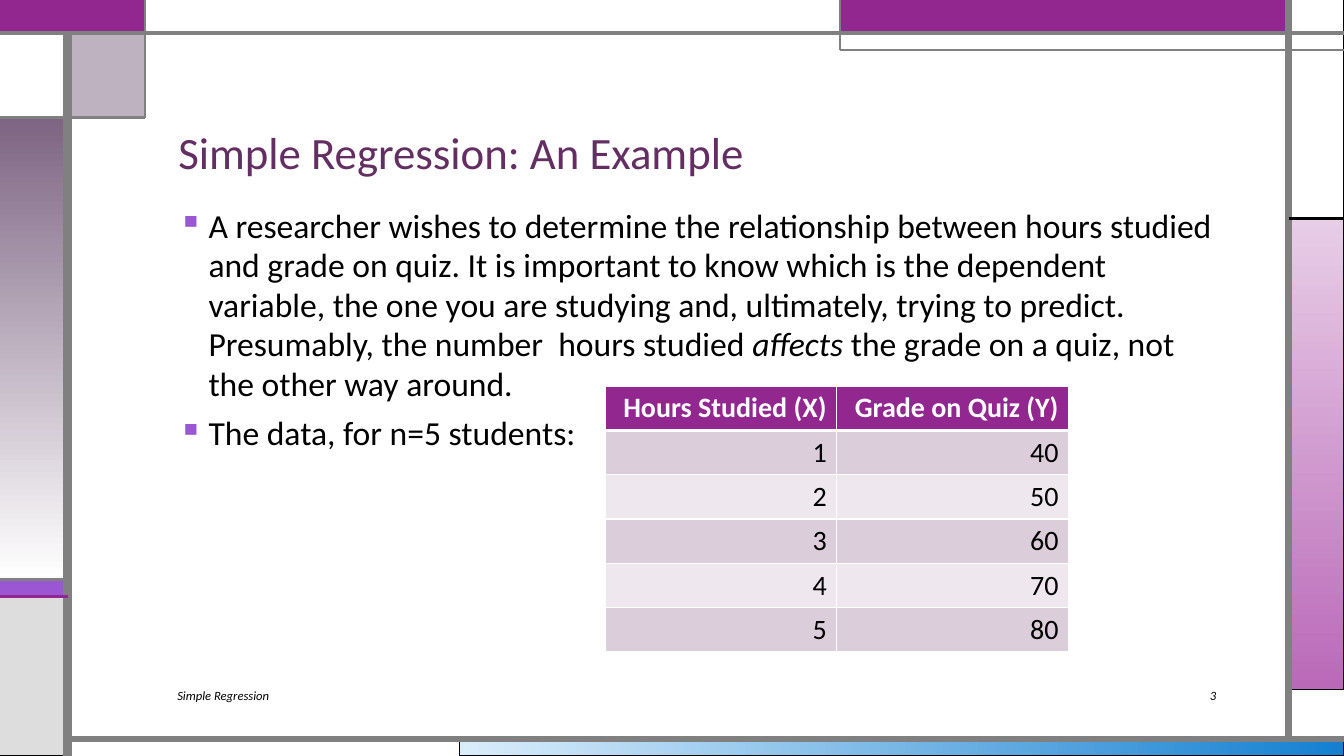
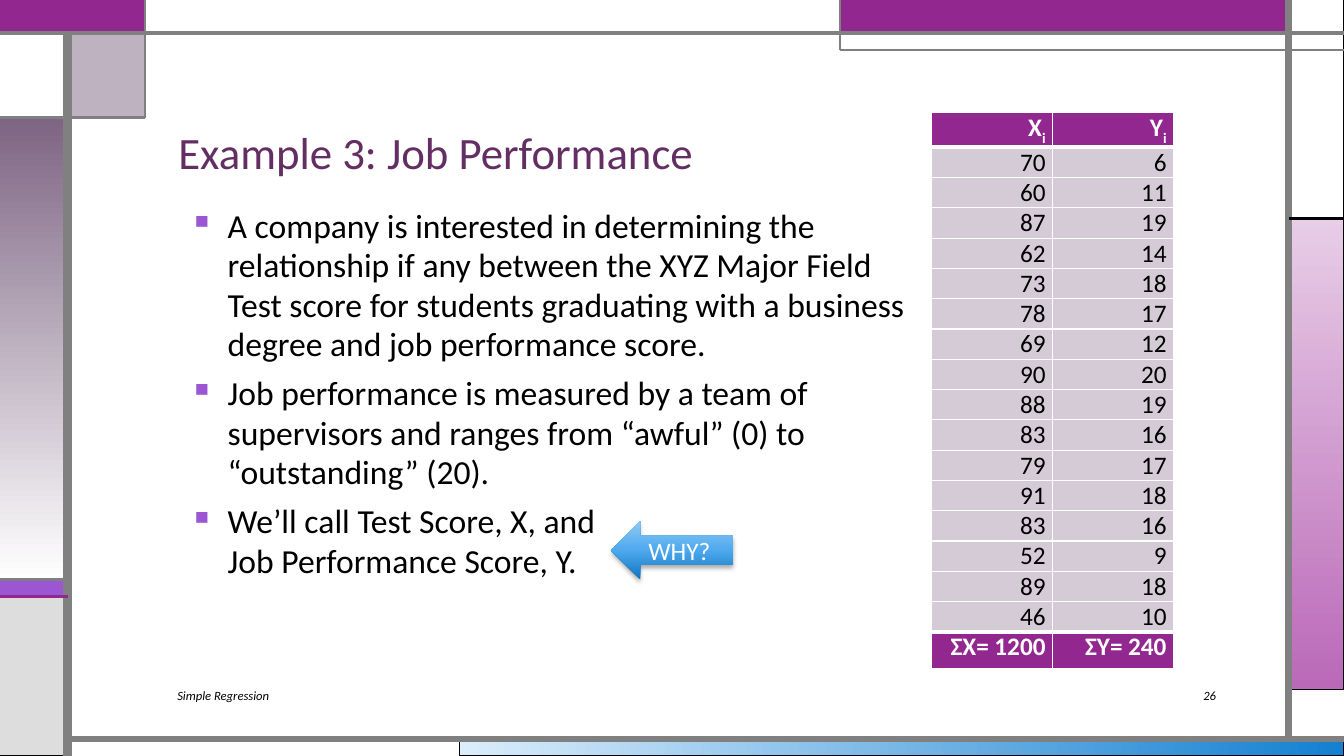
from dataclasses import dataclass

from lxml import etree
from pptx import Presentation
from pptx.dml.color import RGBColor
from pptx.enum.shapes import MSO_CONNECTOR, MSO_SHAPE
from pptx.enum.text import MSO_ANCHOR, PP_ALIGN
from pptx.oxml.ns import qn
from pptx.util import Inches, Pt

RECT, LEFT_ARROW = MSO_SHAPE.RECTANGLE, MSO_SHAPE.LEFT_ARROW
STRAIGHT = MSO_CONNECTOR.STRAIGHT
TOP, MIDDLE, BOTTOM = MSO_ANCHOR.TOP, MSO_ANCHOR.MIDDLE, MSO_ANCHOR.BOTTOM
LEFT, CENTER, RIGHT = PP_ALIGN.LEFT, PP_ALIGN.CENTER, PP_ALIGN.RIGHT
WIDTH, HEIGHT = 13.33, 7.5
RAIL_LEFT, RAIL_RIGHT, RAIL_TOP, RAIL_BOTTOM = 0.67, 12.78, 0.33, 7.33
CORNER_X, CORNER_Y = 1.44, 1.17
BANNER_X, BANNER_Y = 8.33, 0.5
PANEL_TOP, STRIPE_TOP, STRIPE_BOTTOM = 2.17, 5.75, 5.92
MARGIN = 1.67


@dataclass(frozen=True)
class Theme:
    """Colours, type sizes and font of the deck."""

    font: str = "Calibri"
    title_size: int = 32
    body_size: int = 24
    table_size: int = 20
    small_size: int = 18
    footer_size: int = 9
    black: str = "000000"
    white: str = "FFFFFF"
    title: str = "632E62"
    magenta: str = "92278F"
    violet: str = "9B57D3"
    indigo: str = "755DD9"
    mauve: str = "7E6583"
    gray: str = "808080"
    pale_gray: str = "DDDDDD"
    band_dark: str = "DCCDDB"
    band_light: str = "EEE8EE"
    score_row: str = "D5CBD7"
    sky: tuple = ((0, "DAEDFB"), (100, "1480D1"))
    orchid: tuple = ((0, "E8CDE7"), (100, "BA69B8"))
    fade: tuple = ((0, "7E6583"), (100, "FFFFFF"))
    arrow: tuple = ((0, "1273BB"), (48, "4BA8EE"), (100, "8FC9F4"))


def add_node(parent, tag, **attributes):
    """Append a drawing element to its parent."""
    node = etree.SubElement(parent, qn(tag))
    for name, value in attributes.items():
        node.set(name, str(value))
    return node


class Deck:
    """Holds the theme and the current slide and draws each kind of element."""

    def __init__(self, theme):
        """Start an empty widescreen presentation."""
        self.theme = theme
        self.presentation = Presentation()
        self.presentation.slide_width = Inches(WIDTH)
        self.presentation.slide_height = Inches(HEIGHT)
        self.slide = None

    def new_slide(self, title, number):
        """Add a slide with frame, title and footer."""
        layout = self.presentation.slide_layouts[6]
        self.slide = self.presentation.slides.add_slide(layout)
        self.frame()
        t = self.theme
        heading = self.text_box(MARGIN, 0.58, 10.5, 1.25, BOTTOM)
        self.set_text(heading.paragraphs[0], title, t.title_size, t.title)
        heading.paragraphs[0].line_spacing = 0.9
        for x, width, words, align in (
            (1.66, 7.51, "Simple Regression", LEFT),
            (11.08, 1.08, str(number), RIGHT),
        ):
            footer = self.text_box(x, 6.75, width, 0.3, MIDDLE)
            self.set_text(footer.paragraphs[0], words, t.footer_size, t.black,
                          align, italic=True)

    def frame(self):
        """Draw the coloured panels and rails around the slide."""
        t = self.theme
        right_width = WIDTH - RAIL_RIGHT
        corner_height = CORNER_Y - RAIL_TOP
        self.block(4.56, RAIL_BOTTOM, WIDTH - 4.56, HEIGHT - RAIL_BOTTOM, t.sky, t.black)
        self.block(RAIL_RIGHT, PANEL_TOP, right_width, 4.67, t.orchid, t.black, angle=90)
        self.block(0, STRIPE_TOP, RAIL_LEFT, STRIPE_BOTTOM - STRIPE_TOP, t.violet, t.black)
        self.block(0, STRIPE_BOTTOM, RAIL_LEFT, HEIGHT - STRIPE_BOTTOM, t.pale_gray, t.black)
        self.block(RAIL_RIGHT, 0, right_width, PANEL_TOP, t.white, t.black)
        self.block(BANNER_X, 0, RAIL_RIGHT - BANNER_X, RAIL_TOP, t.magenta, t.indigo)
        corner = self.block(RAIL_LEFT, RAIL_TOP, CORNER_X - RAIL_LEFT, corner_height,
                            t.mauve, t.black)
        tint = corner._element.spPr.find(qn("a:solidFill"))[0]
        add_node(tint, "a:alpha", val=50000)
        self.block(0, CORNER_Y, RAIL_LEFT, STRIPE_TOP - CORNER_Y, t.fade, t.black, angle=90)
        self.block(0, RAIL_TOP, RAIL_LEFT, corner_height, t.white, t.black)
        self.block(0, 0, CORNER_X, RAIL_TOP, t.magenta, t.magenta, 1.5)
        self.block(CORNER_X, 0, BANNER_X - CORNER_X, RAIL_TOP, t.white, t.gray)
        for x1, y1, x2, y2, color, weight in (
            (RAIL_LEFT, HEIGHT, RAIL_LEFT, RAIL_TOP, t.gray, 6),
            (RAIL_LEFT, RAIL_BOTTOM, WIDTH, RAIL_BOTTOM, t.gray, 4.5),
            (RAIL_RIGHT, RAIL_BOTTOM, RAIL_RIGHT, 0, t.gray, 4.5),
            (0, RAIL_TOP, WIDTH, RAIL_TOP, t.gray, 3),
            (WIDTH, BANNER_Y, BANNER_X, BANNER_Y, t.gray, 1.5),
            (BANNER_X, BANNER_Y, BANNER_X, 0, t.gray, 1.5),
            (RAIL_RIGHT, PANEL_TOP, WIDTH, PANEL_TOP, t.black, 2.25),
            (CORNER_X, 0, CORNER_X, CORNER_Y, t.gray, 1.5),
            (CORNER_X, CORNER_Y, 0, CORNER_Y, t.gray, 2.25),
            (RAIL_LEFT, STRIPE_TOP, 0, STRIPE_TOP, t.gray, 2.25),
            (RAIL_LEFT, STRIPE_BOTTOM, 0, STRIPE_BOTTOM, t.magenta, 2.25),
        ):
            self.rail(x1, y1, x2, y2, color, weight)

    def block(self, x, y, width, height, fill, line=None, weight=0.75, angle=0, kind=RECT):
        """Draw a preset shape with a plain or gradient fill."""
        shape = self.slide.shapes.add_shape(
            kind, Inches(x), Inches(y), Inches(width), Inches(height))
        shape.shadow.inherit = False
        if isinstance(fill, str):
            shape.fill.solid()
            shape.fill.fore_color.rgb = RGBColor.from_string(fill)
        else:
            shape.fill.gradient()
            shape.fill.gradient_angle = (360 - angle) % 360
            stops = shape._element.spPr.find(qn("a:gradFill")).find(qn("a:gsLst"))
            for stop in list(stops):
                stops.remove(stop)
            for position, color in fill:
                stop = add_node(stops, "a:gs", pos=position * 1000)
                add_node(stop, "a:srgbClr", val=color)
        if line:
            shape.line.color.rgb = RGBColor.from_string(line)
            shape.line.width = Pt(weight)
        else:
            shape.line.fill.background()
        return shape

    def rail(self, x1, y1, x2, y2, color, weight):
        """Draw a straight line without shadow."""
        rail = self.slide.shapes.add_connector(
            STRAIGHT, Inches(x1), Inches(y1), Inches(x2), Inches(y2))
        rail.line.color.rgb = RGBColor.from_string(color)
        rail.line.width = Pt(weight)
        add_node(rail._element.spPr, "a:effectLst")

    def text_box(self, x, y, width, height, anchor=TOP):
        """Add a wrapping text box and return its text frame."""
        frame = self.slide.shapes.add_textbox(
            Inches(x), Inches(y), Inches(width), Inches(height)).text_frame
        frame.word_wrap = True
        frame.vertical_anchor = anchor
        return frame

    def set_text(self, paragraph, words, size, color, align=LEFT, bold=False, italic=False):
        """Fill a paragraph from a string or from (text, style) pieces."""
        if isinstance(words, str):
            paragraph.text = words
        else:
            for piece, style in words:
                run = paragraph.add_run()
                run.text = piece
                if style == "italic":
                    run.font.italic = True
                elif style == "sub":
                    run._r.get_or_add_rPr().set("baseline", "-25000")
        paragraph.alignment = align
        for run in paragraph.runs:
            run.font.name = self.theme.font
            run.font.size = Pt(size)
            run.font.bold = bold
            run.font.italic = italic or run.font.italic
            run.font.color.rgb = RGBColor.from_string(color)

    def bullets(self, width, items, indent, hanging):
        """Fill the bulleted body text."""
        body = self.text_box(MARGIN, 2, width, 4.58)
        for index, words in enumerate(items):
            paragraph = body.add_paragraph() if index else body.paragraphs[0]
            properties = paragraph._p.get_or_add_pPr()
            properties.set("marL", str(Inches(indent)))
            properties.set("indent", str(-Inches(hanging)))
            bullet_color = add_node(properties, "a:buClr")
            add_node(bullet_color, "a:srgbClr", val=self.theme.violet)
            add_node(properties, "a:buChar", char="▪")
            paragraph.line_spacing = 0.98
            paragraph.space_before = Pt(6.8 if index else 0)
            self.set_text(paragraph, words, self.theme.body_size, self.theme.black)

    def table(self, x, y, column, heights, rows, bands, strong, heavy, size, insets):
        """Draw a two-column table with white rules and strong rows."""
        t = self.theme
        grid = self.slide.shapes.add_table(
            len(rows), len(rows[0]), Inches(x), Inches(y),
            Inches(column * len(rows[0])), Inches(sum(heights))).table
        grid.horz_banding = False
        for grid_column in grid.columns:
            grid_column.width = Inches(column)
        side, edge = insets
        for r, (values, height) in enumerate(zip(rows, heights)):
            grid.rows[r].height = Inches(height)
            is_strong = r in strong
            fill = t.magenta if is_strong else bands[(r - 1) % len(bands)]
            for c, value in enumerate(values):
                cell = grid.cell(r, c)
                cell.margin_left = cell.margin_right = Inches(side)
                cell.margin_top = cell.margin_bottom = Inches(edge)
                self.set_text(cell.text_frame.paragraphs[0], value, size,
                              t.white if is_strong else t.black, RIGHT, bold=is_strong)
                self.borders(cell, 3 if r in heavy else 1, 3 if r + 1 in heavy else 1)
                cell.fill.solid()
                cell.fill.fore_color.rgb = RGBColor.from_string(fill)

    def borders(self, cell, top, bottom):
        """Rule the four sides of a cell in white."""
        properties = cell._tc.get_or_add_tcPr()
        for side, weight in (("L", 1), ("R", 1), ("T", top), ("B", bottom)):
            rule = add_node(properties, f"a:ln{side}", w=Pt(weight))
            add_node(add_node(rule, "a:solidFill"), "a:srgbClr", val=self.theme.white)

    def callout_arrow(self, x, y, width, height, words):
        """Draw a shaded left arrow with a soft shadow and a label."""
        t = self.theme
        arrow = self.block(x, y, width, height, t.arrow, angle=270, kind=LEFT_ARROW)
        effects = arrow._element.spPr.find(qn("a:effectLst"))
        shadow = add_node(effects, "a:outerShdw", blurRad=Pt(3.5), dist=Pt(2.2),
                          dir=90 * 60000, rotWithShape=0)
        shade = add_node(shadow, "a:srgbClr", val=t.black)
        add_node(shade, "a:alpha", val=32000)
        arrow.text_frame.vertical_anchor = MIDDLE
        self.set_text(arrow.text_frame.paragraphs[0], words, t.small_size, t.white, CENTER)


def main():
    """Build both slides and save the file."""
    theme = Theme()
    deck = Deck(theme)

    deck.new_slide("Simple Regression: An Example", 3)
    deck.bullets(10.5, [
        [("A researcher wishes to determine the relationship between hours studied and "
          "grade on quiz. It is important to know which is the dependent variable, the one "
          "you are studying and, ultimately, trying to predict.  Presumably, the number  "
          "hours studied ", None),
         ("affects", "italic"),
         (" the grade on a quiz, not the other way around.", None)],
        "The data, for n=5 students:",
    ], 0.3, 0.3)
    quiz = [("1", "40"), ("2", "50"), ("3", "60"), ("4", "70"), ("5", "80")]
    deck.table(6, 3.83, 2.3, [0.44] * 6,
               [("Hours Studied (X)", "Grade on Quiz (Y)"), *quiz],
               (theme.band_dark, theme.band_light), {0}, {1}, theme.table_size, (0.1, 0.05))

    deck.new_slide("Example 3: Job Performance", 26)
    deck.bullets(7.57, [
        "A company is interested in determining the relationship if any between the XYZ Major "
        "Field Test score for students graduating with a business degree and job performance "
        "score.",
        "Job performance is measured by a team of supervisors and ranges from “awful” (0) to "
        "“outstanding” (20).",
        "We’ll call Test Score, X, and \vJob Performance Score, Y.",
    ], 0.49, 0.38)
    test_scores = [70, 60, 87, 62, 73, 78, 69, 90, 88, 83, 79, 91, 83, 52, 89, 46]
    job_scores = [6, 11, 19, 14, 18, 17, 12, 20, 19, 16, 17, 18, 16, 9, 18, 10]
    header = [[(name, None), ("i", "sub")] for name in "XY"]
    totals = (f"ΣX= {sum(test_scores)}", f"ΣY= {sum(job_scores)}")
    scores = [(str(x), str(y)) for x, y in zip(test_scores, job_scores)]
    last = len(scores) + 1
    deck.table(9.24, 1.12, 1.2, [0.34] + [0.3] * len(scores) + [0.37],
               [header, *scores, totals], (theme.score_row,), {0, last}, {1, last},
               theme.small_size, (0.07, 0))
    deck.callout_arrow(6.06, 5.17, 1.21, 0.58, "WHY?")

    deck.presentation.save("out.pptx")


if __name__ == "__main__":
    main()
